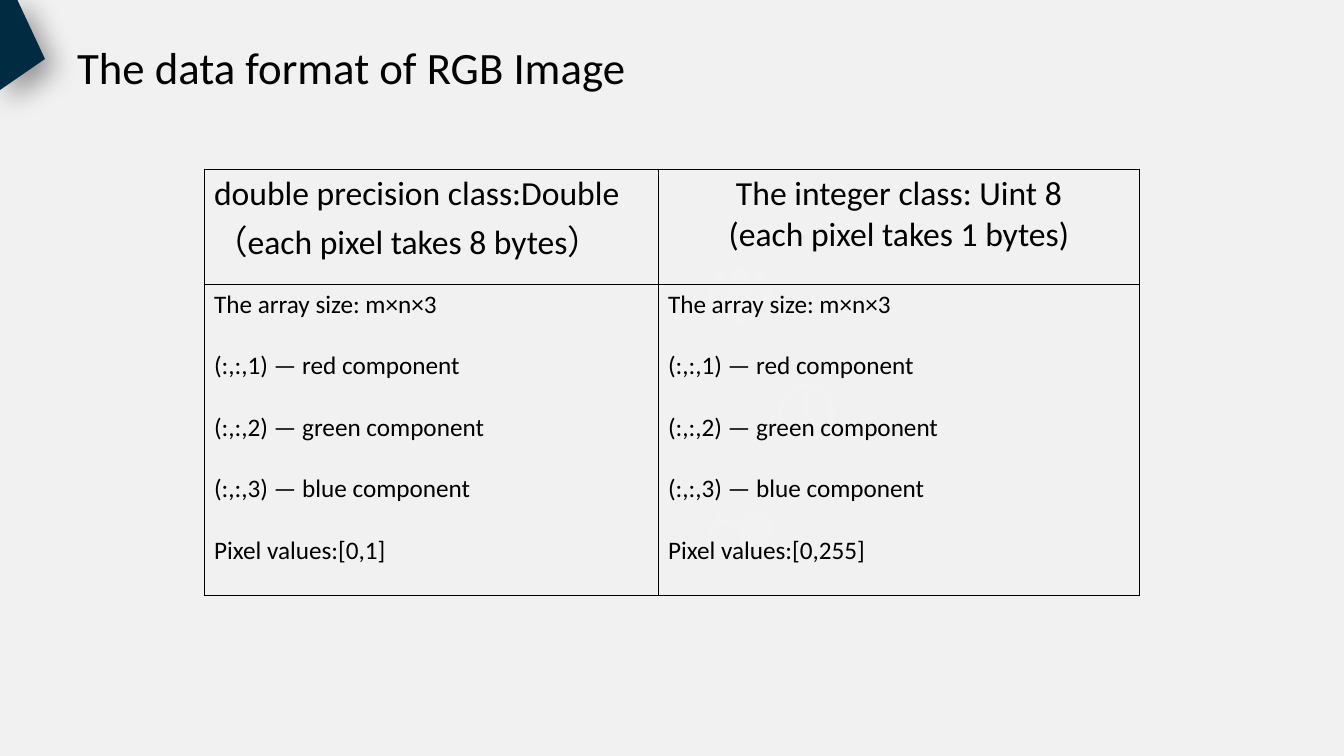
"""Build a slide comparing the double and uint8 data formats of an RGB image."""
import math

import lxml.etree
import pptx
import pptx.dml.color
import pptx.enum.text
import pptx.oxml
import pptx.oxml.ns
import pptx.util

SCALE = 12192000 / 1344
COLORS = {"back": "F1F1F1", "navy": "002B41", "black": "000000", "icon": "F2F2F2"}
ALIGN = pptx.enum.text.PP_ALIGN
NS = pptx.oxml.ns.nsdecls("a")


def px(n):
    return pptx.util.Emu(round(n * SCALE))


def style(p, size, align):
    p.alignment = align
    p.font.name = "Calibri"
    p.font.size = pptx.util.Pt(size)
    p.font.bold = False
    p.font.color.rgb = pptx.dml.color.RGBColor.from_string(COLORS["black"])


prs = pptx.Presentation()
prs.slide_width, prs.slide_height = px(1344), px(756)
s = prs.slides.add_slide(prs.slide_layouts[5])
s.background.fill.solid()
s.background.fill.fore_color.rgb = pptx.dml.color.RGBColor.from_string(COLORS["back"])

corner = [(17, -1), (0, -1), (0, 90), (45, 59)]
torso = [(731, 290), (749, 290), (759, 301), (757, 313),
         (748, 323), (732, 323), (723, 313), (721, 301)]
left_torso = [(714, 286), (725, 286), (718, 292), (717, 305),
              (714, 305), (709, 299), (708, 292)]
right_torso = [(1480 - x, y) for x, y in left_torso]
clock_hands = [(802, 392), (808, 392), (808, 410), (819, 424), (817, 427), (802, 414)]
coin_rim = [(717, 519), (716, 514), (721, 503), (731, 499), (742, 503), (747, 510),
            (744, 511), (741, 506), (731, 502), (723, 506), (720, 514), (720, 518)]

# Each entry: colour, circles as (centre x, centre y, radius), polygons
outlines = [
    ("navy", [], [corner]),
    ("icon", [(740, 277, 10), (720, 277, 6), (760, 277, 6)],
     [torso, left_torso, right_torso]),
    ("icon", [(806, 412, 29), (806, 412, 23)], [clock_hands]),
    ("icon", [], [coin_rim]),
    ("icon", [(756, 528, 16)], []),
    ("icon", [(727, 539, 19), (727, 539, 15)], []),
]
for color, circles, polygons in outlines:
    rounds = [
        [(cx + r * math.cos(math.tau * k / 32), cy + r * math.sin(math.tau * k / 32))
         for k in range(32)]
        for cx, cy, r in circles
    ]
    contours = rounds + polygons
    fb = s.shapes.build_freeform(*contours[0][0], scale=SCALE)
    for n, points in enumerate(contours):
        if n:
            fb.move_to(*points[0])
        fb.add_line_segments(points[1:], close=True)
    sp = fb.convert_to_shape()
    sp.shadow.inherit = False
    sp.fill.solid()
    sp.fill.fore_color.rgb = pptx.dml.color.RGBColor.from_string(COLORS[color])
    sp.line.fill.background()
    if color == "navy":
        sp._element.spPr.find(pptx.oxml.ns.qn("a:effectLst")).append(pptx.oxml.parse_xml(
            f'<a:outerShdw {NS} blurRad="254000" dist="127000" dir="2700000" '
            f'algn="tl" rotWithShape="0"><a:srgbClr val="{COLORS["black"]}">'
            '<a:alpha val="40000"/></a:srgbClr></a:outerShdw>'))

title = s.shapes.title
title.left, title.top, title.width, title.height = px(67), px(34), px(648), px(65)
tf = title.text_frame
tf.text = "The data format of RGB Image"
tf.vertical_anchor = pptx.enum.text.MSO_ANCHOR.MIDDLE
tf.auto_size = pptx.enum.text.MSO_AUTO_SIZE.NONE
style(tf.paragraphs[0], 32, ALIGN.LEFT)

headers = [
    ["double precision class:Double", "（each pixel takes 8 bytes）"],
    ["The integer class: Uint 8", "(each pixel takes 1 bytes)"],
]
header_aligns = [ALIGN.JUSTIFY, ALIGN.CENTER]
layers = ["red", "green", "blue"]
bodies = [
    ["The array size: m×n×3",
     *[f"(:,:,{i}) — {layer} component" for i, layer in enumerate(layers, 1)],
     f"Pixel values:{span}"]
    for span in ["[0,1]", "[0,255]"]
]

widths, heights = [454, 482], [115, 312]
table = s.shapes.add_table(2, 2, px(204), px(169), px(sum(widths)), px(sum(heights))).table
table.first_row = table.horz_banding = False
for col, width in zip(table.columns, widths):
    col.width = px(width)
for row, height in zip(table.rows, heights):
    row.height = px(height)

for i, lines_by_col in enumerate([headers, bodies]):
    for j, lines in enumerate(lines_by_col):
        cell = table.cell(i, j)
        tcPr = cell._tc.get_or_add_tcPr()
        for side in "LRTB":
            tcPr.append(pptx.oxml.parse_xml(
                f'<a:ln{side} {NS} w="9525"><a:solidFill>'
                f'<a:srgbClr val="{COLORS["black"]}"/></a:solidFill></a:ln{side}>'))
        cell.fill.background()
        cell.text = "\n".join(lines)
        for k, p in enumerate(cell.text_frame.paragraphs):
            style(p, 18 if i else 24, ALIGN.LEFT if i else header_aligns[j])
            if i and k:
                p.space_before = pptx.util.Pt(22)

prs.save("out.pptx")
